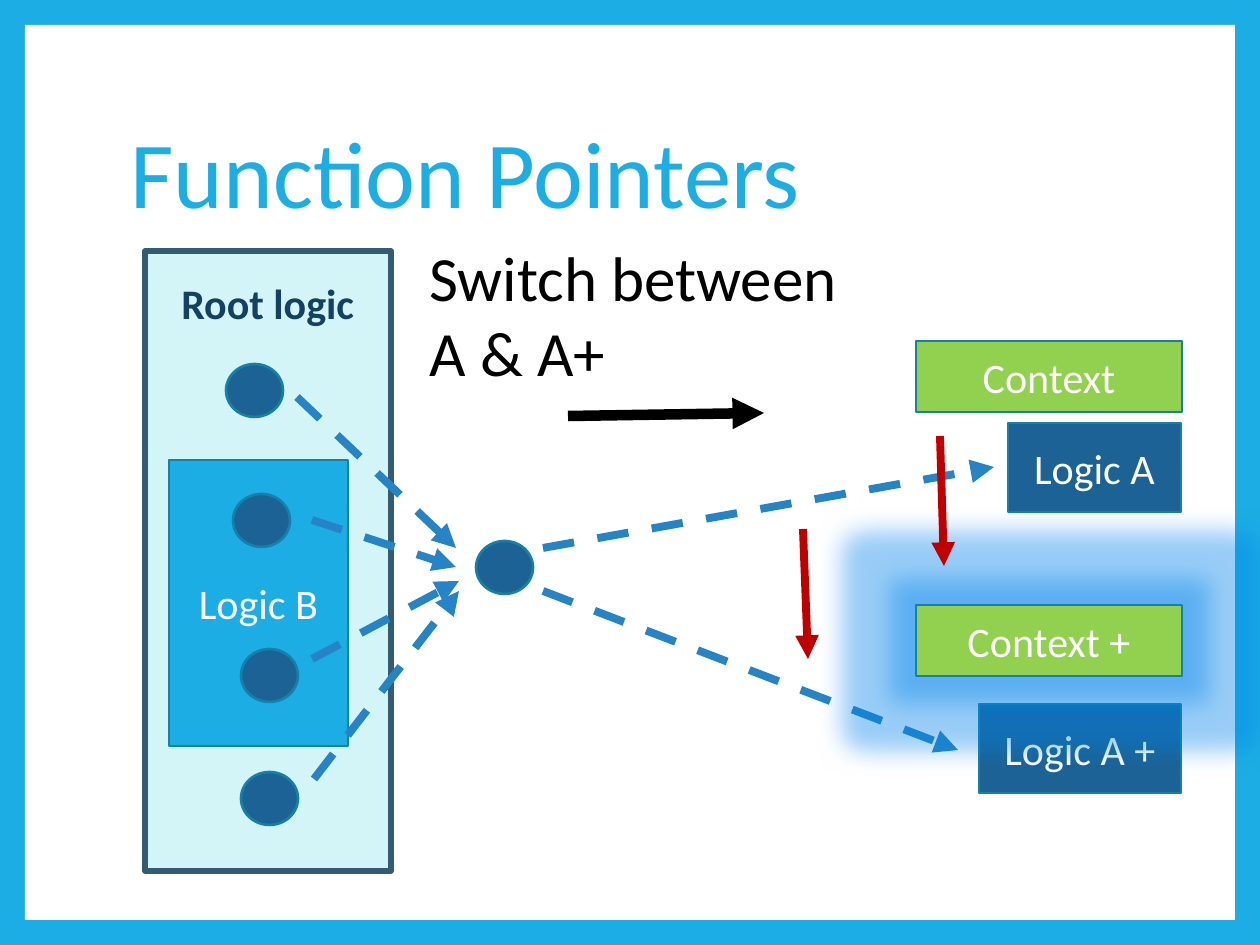
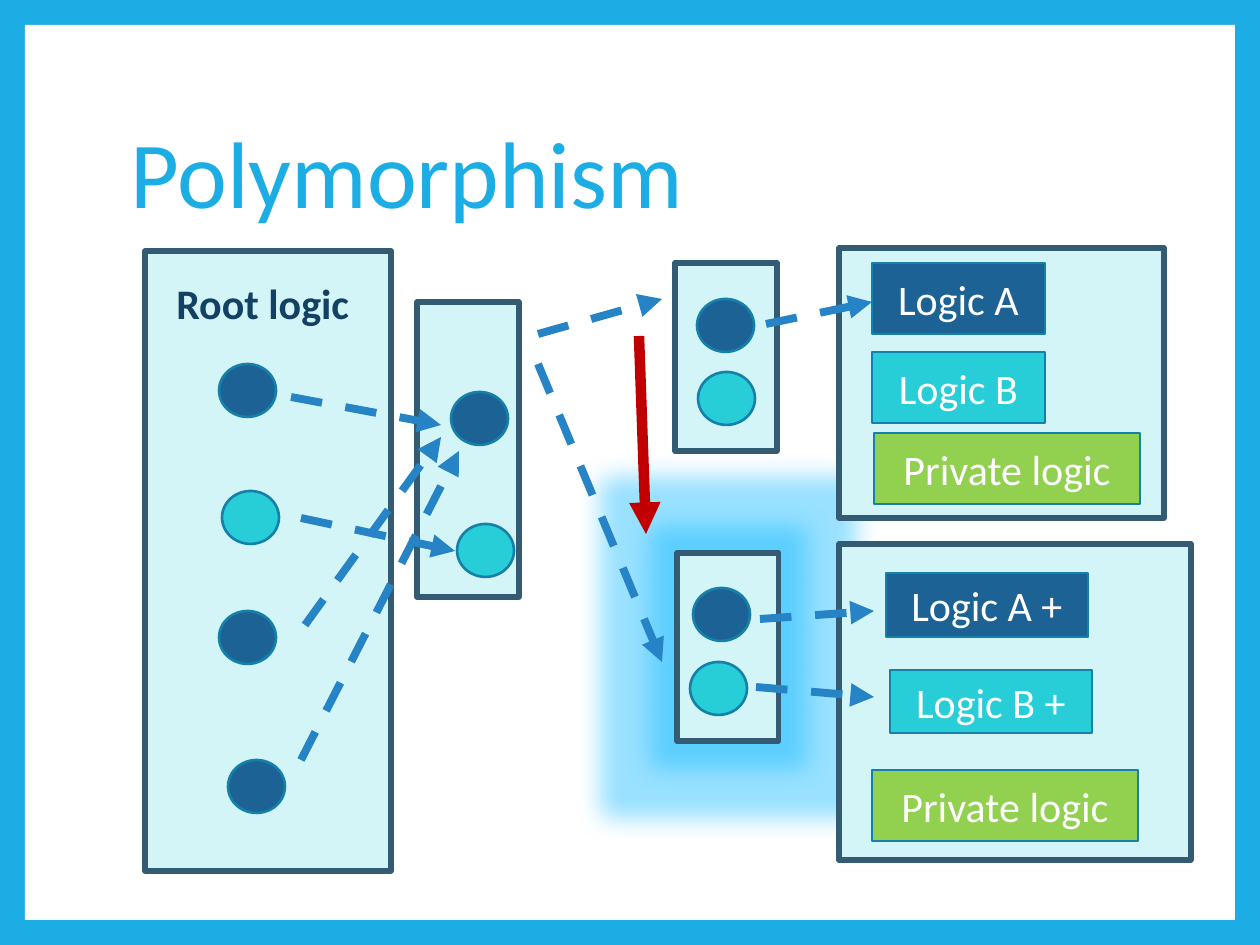
from lxml import etree
from pptx import Presentation
from pptx.dml.color import RGBColor
from pptx.enum.dml import MSO_LINE
from pptx.enum.shapes import MSO_CONNECTOR, MSO_SHAPE
from pptx.enum.text import MSO_ANCHOR, MSO_AUTO_SIZE, PP_ALIGN
from pptx.oxml.ns import qn
from pptx.util import Pt

RECT, OVAL = MSO_SHAPE.RECTANGLE, MSO_SHAPE.OVAL
STRAIGHT, DASH = MSO_CONNECTOR.STRAIGHT, MSO_LINE.DASH
MIDDLE, FIT = MSO_ANCHOR.MIDDLE, MSO_AUTO_SIZE.SHAPE_TO_FIT_TEXT
LEFT, CENTER = PP_ALIGN.LEFT, PP_ALIGN.CENTER

EMU_PER_PIXEL = 914400 / 126
FONT = "Calibri"
COLORS = {
    "sky": "1CADE4", "white": "FFFFFF", "black": "000000", "pale": "D4F5F7",
    "slate": "335B74", "edge": "1580A9", "navy": "1D6294", "ink": "134163",
    "teal": "27CED7", "green": "92D050", "link": "2683C6", "red": "C00000",
    "blue_glow": "0083EB", "cyan_glow": "00B4FF",
}


def emu(*pixels):
    return [round(value * EMU_PER_PIXEL) for value in pixels]


def color(name):
    return RGBColor.from_string(COLORS[name])


class Deck:
    """Holds the shared style and the current slide."""

    def __init__(self):
        self.file = Presentation()
        self.file.slide_width, self.file.slide_height = emu(1260, 945)
        self.slide = None

    def add_slide(self, title):
        self.slide = self.file.slides.add_slide(self.file.slide_layouts[5])
        heading = self.slide.shapes.title
        heading.left, heading.top, heading.width, heading.height = emu(118, 84, 1021, 187)
        heading.text_frame.vertical_anchor = MIDDLE
        self.add_text(heading.text_frame, title, 54, "sky").line_spacing = 0.9

    def frame_master(self):
        master = self.file.slide_master
        background = master.background.fill
        background.solid()
        background.fore_color.rgb = color("sky")
        sheet = self.shape(RECT, (25, 25, 1210, 895), "white", None, 0)
        sheet.element.nvSpPr.cNvPr.id = 99
        master.shapes.element.insert(2, sheet.element)

    def add_text(self, frame, text, size, tone, bold=False, align=LEFT):
        frame.word_wrap = True
        paragraph = frame.paragraphs[0]
        paragraph.alignment = align
        run = paragraph.add_run()
        run.text = text
        run.font.name, run.font.size, run.font.bold = FONT, Pt(size), bold
        run.font.color.rgb = color(tone)
        return paragraph

    def shape(self, kind, place, fill, edge, weight):
        item = self.slide.shapes.add_shape(kind, *emu(*place))
        item.shadow.inherit = False
        item.fill.solid()
        item.fill.fore_color.rgb = color(fill)
        if edge:
            item.line.color.rgb = color(edge)
            item.line.width = Pt(weight)
        else:
            item.line.fill.background()
        return item

    def panel(self, *place):
        return self.shape(RECT, place, "pale", "slate", 3)

    def box(self, text, fill, *place):
        item = self.shape(RECT, place, fill, "edge", 1.5)
        item.text_frame.vertical_anchor = MIDDLE
        self.add_text(item.text_frame, text, 24, "white", align=CENTER)
        return item

    def node(self, left, top, fill="navy"):
        self.shape(OVAL, (left, top, 57, 53), fill, "edge", 1.5)

    def label(self, text, size, tone, place, bold=False):
        frame = self.slide.shapes.add_textbox(*emu(*place)).text_frame
        self.add_text(frame, text, size, tone, bold)
        frame.auto_size = FIT

    def arrow(self, points, tone="red", weight=4.5, dash=None):
        line = self.slide.shapes.add_connector(STRAIGHT, *emu(*points))
        line.line.color.rgb = color(tone)
        line.line.width = Pt(weight)
        if dash:
            line.line.dash_style = dash
        properties = line.element.spPr
        etree.SubElement(properties.find(qn("a:ln")), qn("a:tailEnd"), type="triangle")
        etree.SubElement(properties, qn("a:effectLst"))

    def links(self, *routes):
        for points in routes:
            self.arrow(points, "link", dash=DASH)

    def glow(self, item, tone):
        effects = item.element.spPr.find(qn("a:effectLst"))
        halo = etree.SubElement(effects, qn("a:glow"), rad=str(emu(50)[0]))
        tint = etree.SubElement(halo, qn("a:srgbClr"), val=COLORS[tone])
        etree.SubElement(tint, qn("a:alpha"), val="40000")

    def root_logic(self, label_left, label_width):
        self.panel(145, 251, 246, 620)
        self.label("Root logic", 24, "ink", (label_left, 271, label_width, 63), True)


def function_pointers(deck):
    deck.add_slide("Function Pointers")
    deck.frame_master()
    deck.root_logic(169, 290)
    deck.box("Logic A", "navy", 1008, 423, 173, 89)
    deck.box("Logic B", "sky", 169, 460, 179, 286)
    deck.box("Logic A +", "navy", 979, 704, 202, 89)
    deck.label("Switch between A & A+", 36, "black", (417, 232, 447, 165))
    deck.arrow((568, 416, 764, 413), "black", 6)
    for caller in ((226, 364), (233, 494), (241, 649), (241, 772)):
        deck.node(*caller)
    deck.node(476, 541)
    deck.links(
        (297, 397, 456, 548), (312, 520, 456, 567),
        (312, 659, 459, 581), (314, 779, 459, 591),
        (543, 548, 994, 467), (543, 591, 958, 750),
    )
    deck.arrow((803, 529, 808, 659))
    deck.box("Context", "green", 916, 341, 266, 71)
    new_context = deck.box("Context +", "green", 916, 605, 266, 71)
    deck.glow(new_context, "blue_glow")
    deck.arrow((940, 436, 944, 566))


def polymorphism(deck):
    deck.add_slide("Polymorphism")
    deck.panel(417, 302, 102, 295)
    deck.panel(675, 263, 102, 188)
    new_table = deck.panel(677, 553, 102, 188)
    deck.glow(new_table, "cyan_glow")
    deck.panel(839, 248, 325, 270)
    deck.panel(839, 544, 352, 316)
    deck.root_logic(164, 212)
    deck.box("Logic A", "navy", 872, 263, 173, 71)
    deck.box("Logic B", "teal", 872, 352, 173, 71)
    deck.box("Private logic", "green", 874, 433, 266, 71)
    deck.box("Logic A +", "navy", 886, 573, 202, 64)
    deck.box("Logic B +", "teal", 890, 670, 202, 63)
    deck.box("Private logic", "green", 872, 770, 266, 71)
    for a_entry in ((219, 364), (219, 611), (228, 760), (451, 392), (697, 299), (693, 588)):
        deck.node(*a_entry)
    for b_entry in ((222, 491), (457, 524), (698, 372), (690, 662)):
        deck.node(*b_entry, "teal")
    deck.links(
        (291, 397, 441, 425), (301, 518, 455, 551),
        (305, 625, 441, 437), (301, 760, 459, 451),
        (766, 324, 872, 302), (756, 687, 874, 697), (760, 619, 874, 611),
        (538, 334, 662, 299), (538, 364, 662, 662),
    )
    deck.arrow((639, 336, 646, 534), weight=6)


deck = Deck()
function_pointers(deck)
polymorphism(deck)
deck.file.save("out.pptx")
